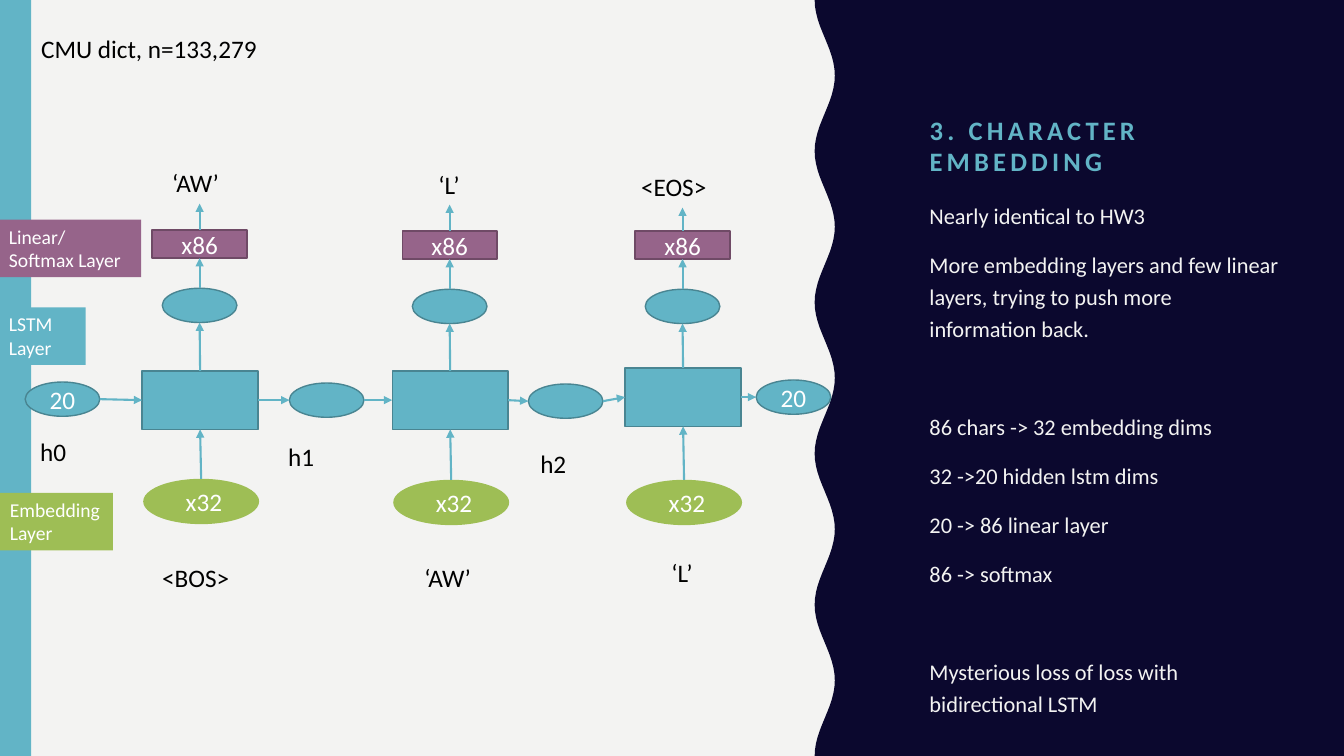
from dataclasses import dataclass
from math import cos, pi

from lxml.etree import SubElement
from pptx import Presentation
from pptx.dml.color import RGBColor
from pptx.enum.shapes import MSO_CONNECTOR, MSO_SHAPE
from pptx.enum.text import MSO_ANCHOR, MSO_AUTO_SIZE, PP_ALIGN
from pptx.oxml.ns import qn
from pptx.util import Inches, Pt


@dataclass(frozen=True)
class Theme:
    """Colours, font and type sizes of the slide."""
    font: str = "Calibri"
    paper: str = "F3F3F2"
    navy: str = "0B082E"
    teal: str = "62B4C6"
    teal_edge: str = "498592"
    purple: str = "96648A"
    purple_edge: str = "6F4A66"
    green: str = "9EBE55"
    black: str = "000000"
    white: str = "FFFFFF"
    title_size: int = 19
    diagram_size: int = 18
    body_size: int = 16
    legend_size: int = 14


THEME = Theme()
SLIDE_WIDTH, SLIDE_HEIGHT = 13.33, 7.5

TITLE = "3. CHARACTER EMBEDDING"
# Text and space before it in points; the larger space separates groups.
NOTES = [
    ("Nearly identical to HW3", 12),
    ("More embedding layers and few linear layers, trying to push more "
     "information back. ", 12),
    ("86 chars -> 32 embedding dims", 47),
    ("32 ->20 hidden lstm dims", 12),
    ("20 -> 86 linear layer", 12),
    ("86 -> softmax", 12),
    ("Mysterious loss of loss with bidirectional LSTM", 47),
]

# One time step each: left and top of the LSTM cell, then the row shift
# of the other nodes and the height at which the output arrow ends.
STEPS = [(1.41, 3.68, 0, 2.02), (3.89, 3.68, 0.01, 2.03), (6.2, 3.65, 0.01, 2.06)]
STATES = [(0.25, 3.79, "20"), (2.87, 3.8, ""), (5.24, 3.81, ""), (7.5, 3.77, "20")]

LABELS = [  # text, left, top, width
    ("CMU dict, n=133,279", 0.31, 0.28, 3.03),
    ("‘AW’", 1.61, 1.61, 0.76), ("‘L’", 4.25, 1.63, 0.44), ("<EOS>", 6.26, 1.65, 0.99),
    ("<BOS>", 1.51, 5.53, 1.01), ("‘AW’", 4.11, 5.53, 0.76), ("‘L’", 6.56, 5.48, 0.44),
    ("h0", 0.3, 4.28, 0.48), ("h1", 2.76, 4.33, 0.48), ("h2", 5.26, 4.4, 0.48),
]
LEGEND = [  # lines, left, top, width, fill
    (("Linear/", "Softmax Layer"), -0.01, 2.18, 1.41, THEME.purple),
    (("LSTM ", "Layer"), -0.01, 3.05, 0.86, THEME.teal),
    (("Embedding ", "Layer"), 0, 4.89, 1.12, THEME.green),
]

CELL_SIZE, STATE_SIZE = (1.15, 0.58), (0.74, 0.34)
LINEAR_SIZE, EMBEDDING_SIZE = (0.94, 0.28), (1.15, 0.45)
HIDDEN_TOP, LINEAR_TOP, EMBEDDING_TOP = 2.86, 2.28, 4.75

WAVE_COUNT, WAVE_STEPS = 5, 24
WAVE_CENTER, WAVE_AMPLITUDE = 8.18, 0.1


def add_run(paragraph, text, size, color, bold=False):
    """Append one formatted run."""
    run = paragraph.add_run()
    run.text = text
    run.font.name = THEME.font
    run.font.size = Pt(size)
    run.font.bold = bold
    run.font.color.rgb = RGBColor.from_string(color)
    return run


def paint(shape, fill, edge=None):
    """Set a flat fill and an optional outline."""
    shape.shadow.inherit = False
    shape.fill.solid()
    shape.fill.fore_color.rgb = RGBColor.from_string(fill)
    if edge:
        shape.line.color.rgb = RGBColor.from_string(edge)
        shape.line.width = Pt(1)
    else:
        shape.line.fill.background()


def add_node(kind, left, top, size, fill, edge=None, text=""):
    """Draw a network node with optional centred text."""
    shape = slide.shapes.add_shape(kind, Inches(left), Inches(top), *map(Inches, size))
    paint(shape, fill, edge)
    if text:
        shape.text_frame.vertical_anchor = MSO_ANCHOR.MIDDLE
        paragraph = shape.text_frame.paragraphs[0]
        paragraph.alignment = PP_ALIGN.CENTER
        add_run(paragraph, text, THEME.diagram_size, THEME.white)
    return shape


def add_state(left, top, text=""):
    """Draw an oval holding a hidden state."""
    return add_node(MSO_SHAPE.OVAL, left, top, STATE_SIZE, THEME.teal, THEME.teal_edge, text)


def add_arrow(start_x, start_y, end_x, end_y):
    """Draw an arrow between two points."""
    arrow = slide.shapes.add_connector(MSO_CONNECTOR.STRAIGHT, start_x, start_y, end_x, end_y)
    arrow.line.color.rgb = RGBColor.from_string(THEME.teal)
    arrow.line.width = Pt(1.5)
    SubElement(arrow.line._get_or_add_ln(), qn("a:tailEnd"), type="triangle")
    SubElement(arrow.element.spPr, qn("a:effectLst"))


def center_x(shape):
    """Return the horizontal centre of a shape."""
    return shape.left + shape.width // 2


def link_up(lower, upper):
    """Point from the top of one node to the bottom of the next."""
    add_arrow(center_x(lower), lower.top, center_x(upper), upper.top + upper.height)


def link_right(first, second):
    """Point from the right of one node to the left of the next."""
    add_arrow(first.left + first.width, first.top + first.height // 2,
              second.left, second.top + second.height // 2)


def add_text_box(left, top, width, height):
    """Add a wrapping text box and return its frame."""
    box = slide.shapes.add_textbox(*map(Inches, (left, top, width, height)))
    box.text_frame.word_wrap = True
    return box.text_frame


def add_wavy_panel():
    """Draw the dark panel with its wavy left edge."""
    count = WAVE_COUNT * WAVE_STEPS
    edge = [(WAVE_CENTER - WAVE_AMPLITUDE * cos(2 * pi * index / WAVE_STEPS),
             SLIDE_HEIGHT * index / count) for index in range(count, -1, -1)]
    corners = [(SLIDE_WIDTH, 0), (SLIDE_WIDTH, SLIDE_HEIGHT)]
    points = [(Inches(x), Inches(y)) for x, y in corners + edge]
    builder = slide.shapes.build_freeform(*points[0])
    builder.add_line_segments(points[1:], close=True)
    panel = builder.convert_to_shape()
    paint(panel, THEME.navy)
    return panel


def add_title(panel):
    """Format the title placeholder and lift it above the panel."""
    title = slide.shapes.title
    title.left, title.top, title.width, title.height = map(Inches, (9.12, 0.5, 3.38, 1.31))
    frame = title.text_frame
    frame.word_wrap = True
    frame.auto_size = MSO_AUTO_SIZE.NONE
    frame.vertical_anchor = MSO_ANCHOR.BOTTOM
    paragraph = frame.paragraphs[0]
    paragraph.alignment = PP_ALIGN.LEFT
    paragraph.line_spacing = 0.95
    run = add_run(paragraph, TITLE, THEME.title_size, THEME.teal, bold=True)
    run.font._element.set("spc", "300")
    panel.element.addnext(title.element)


def add_lines(frame, count):
    """Return the given number of paragraphs of an empty frame."""
    return [frame.paragraphs[0]] + [frame.add_paragraph() for _ in range(count - 1)]


presentation = Presentation()
presentation.slide_width, presentation.slide_height = Inches(SLIDE_WIDTH), Inches(SLIDE_HEIGHT)
slide = presentation.slides.add_slide(presentation.slide_layouts[5])
slide.background.fill.solid()
slide.background.fill.fore_color.rgb = RGBColor.from_string(THEME.paper)

add_title(add_wavy_panel())
add_node(MSO_SHAPE.RECTANGLE, 0, 0, (0.31, SLIDE_HEIGHT), THEME.teal)

notes_frame = add_text_box(9.12, 1.9, 3.69, 5.45)
for paragraph, (text, space) in zip(add_lines(notes_frame, len(NOTES)), NOTES):
    paragraph.line_spacing = 1.2
    paragraph.space_before = Pt(space)
    add_run(paragraph, text, THEME.body_size, THEME.paper)

chain = [add_state(*STATES[0])]
for (left, top, shift, arrow_end), state in zip(STEPS, STATES[1:]):
    cell = add_node(MSO_SHAPE.RECTANGLE, left, top, CELL_SIZE, THEME.teal, THEME.teal_edge)
    embedding = add_node(MSO_SHAPE.OVAL, left + 0.01, EMBEDDING_TOP + shift,
                         EMBEDDING_SIZE, THEME.green, text=" x32")
    hidden = add_state(left + 0.2, HIDDEN_TOP + shift)
    linear = add_node(MSO_SHAPE.RECTANGLE, left + 0.1, LINEAR_TOP + shift, LINEAR_SIZE,
                      THEME.purple, THEME.purple_edge, "x86")
    for lower, upper in ((embedding, cell), (cell, hidden), (hidden, linear)):
        link_up(lower, upper)
    add_arrow(center_x(linear), linear.top, center_x(linear), Inches(arrow_end))
    chain += [cell, add_state(*state)]
for first, second in zip(chain, chain[1:]):
    link_right(first, second)

for text, left, top, width in LABELS:
    frame = add_text_box(left, top, width, 0.4)
    add_run(frame.paragraphs[0], text, THEME.diagram_size, THEME.black)

for lines, left, top, width, fill in LEGEND:
    frame = add_node(MSO_SHAPE.RECTANGLE, left, top, (width, 0.57), fill).text_frame
    frame.word_wrap = False
    frame.vertical_anchor = MSO_ANCHOR.TOP
    for paragraph, text in zip(add_lines(frame, len(lines)), lines):
        paragraph.alignment = PP_ALIGN.LEFT
        add_run(paragraph, text, THEME.legend_size, THEME.white)

presentation.save("out.pptx")
